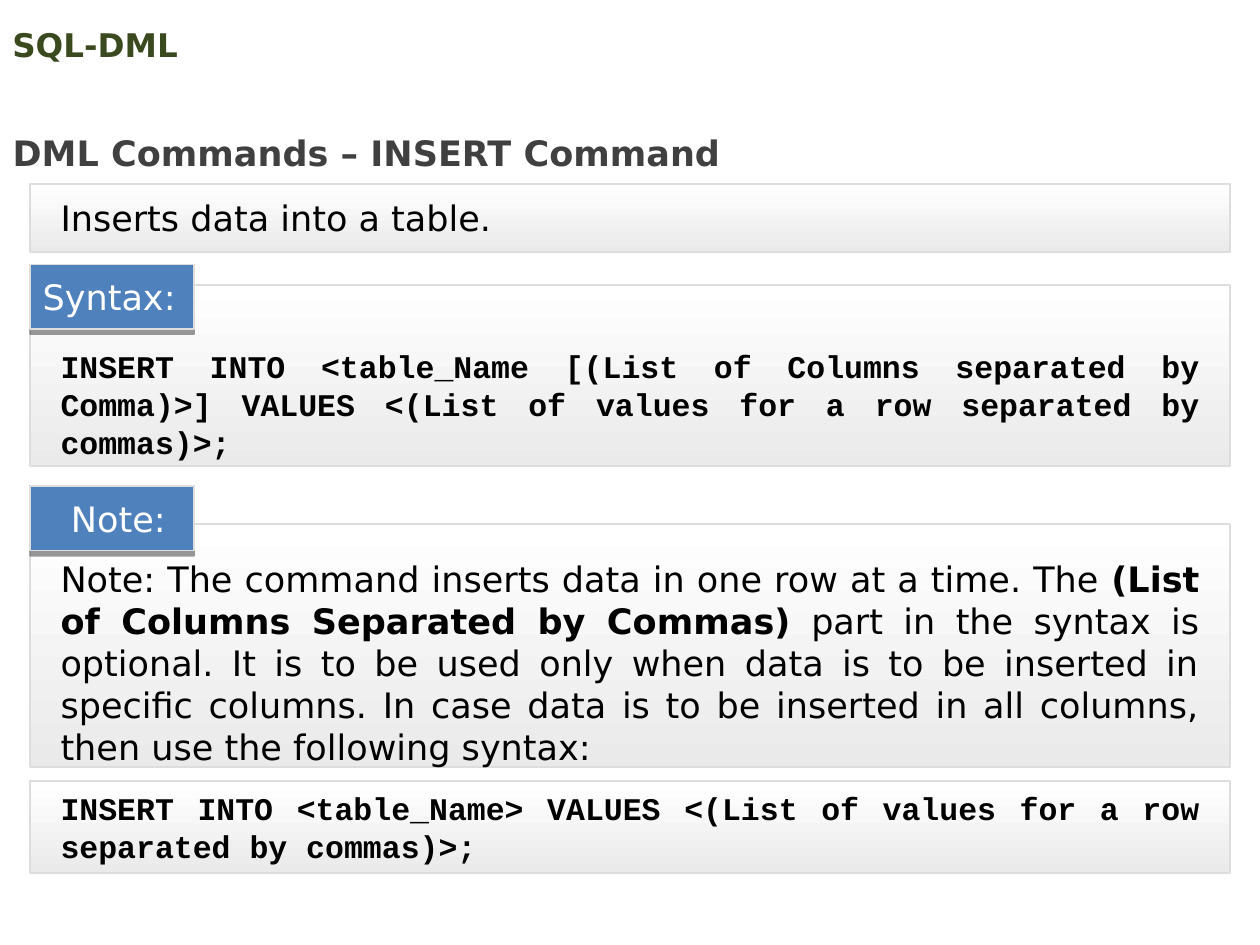
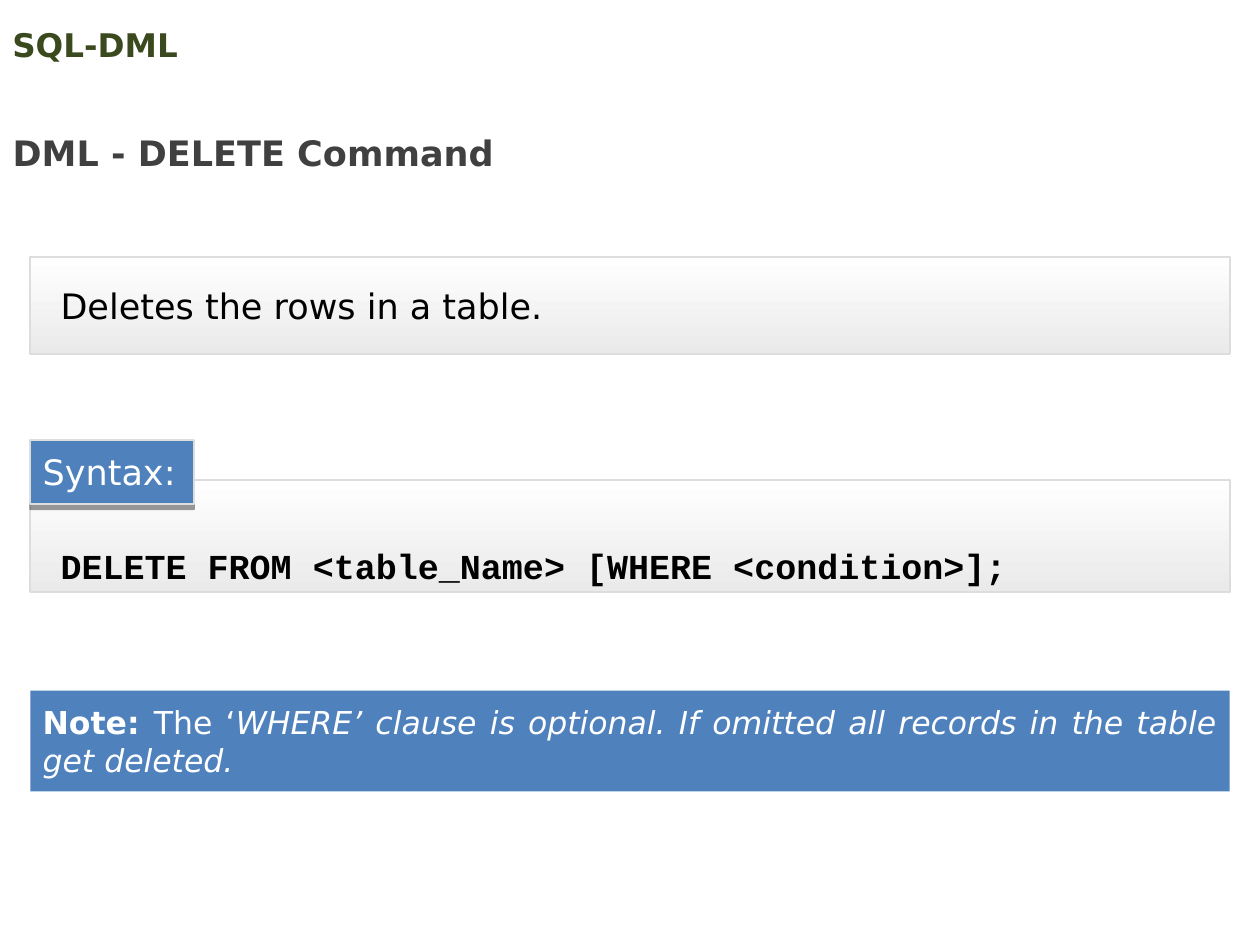
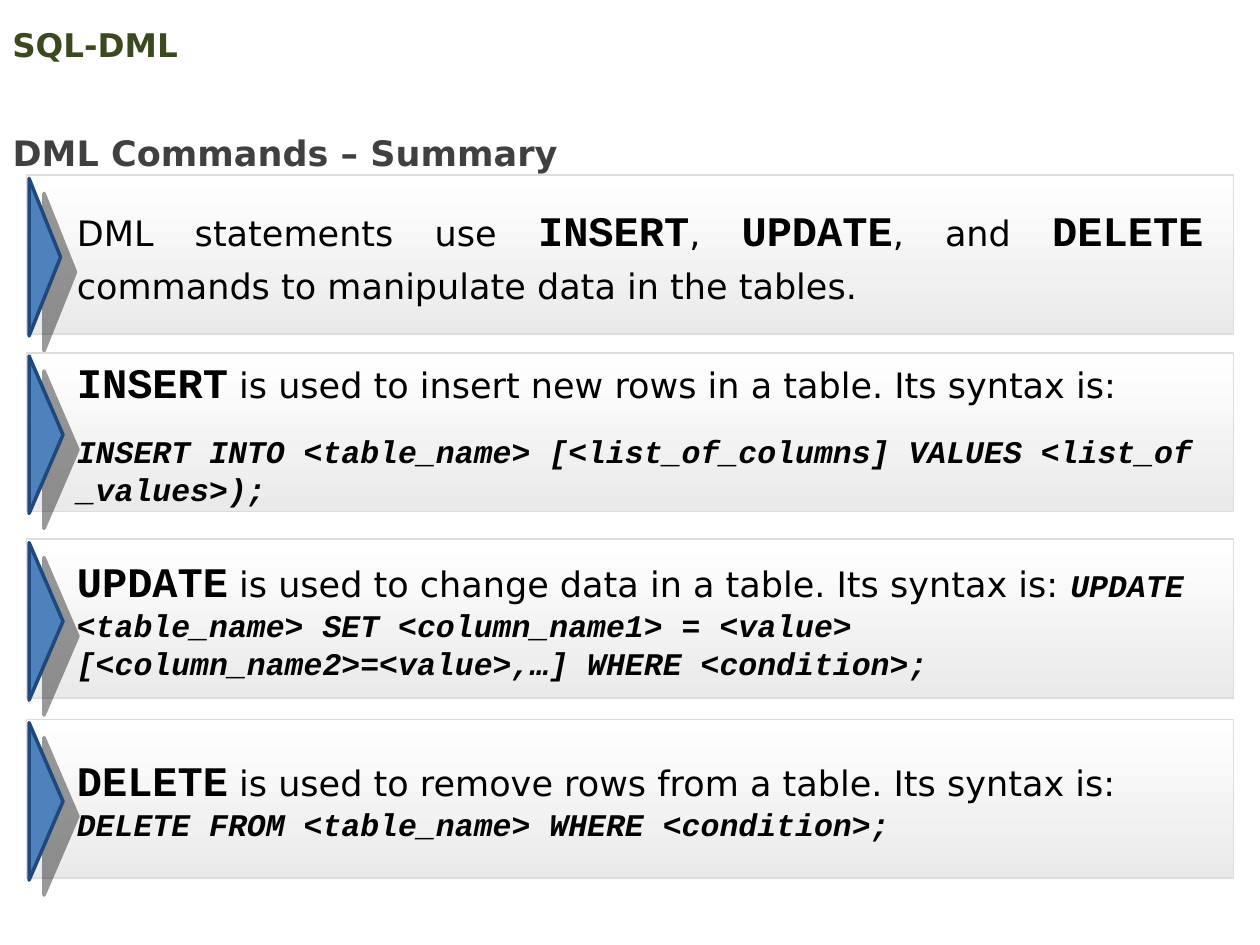
from dataclasses import dataclass, field
from typing import Any, NamedTuple, Optional

from lxml.etree import SubElement
from pptx import Presentation
from pptx.dml.color import RGBColor
from pptx.enum.shapes import MSO_AUTO_SHAPE_TYPE as Geo
from pptx.enum.text import MSO_ANCHOR as Anchor, MSO_AUTO_SIZE as Fit, PP_ALIGN as Align
from pptx.oxml.ns import qn
from pptx.util import Pt


# Theme: colours, fonts and type sizes
@dataclass(frozen=True)
class Theme:
    sans: str = "DejaVu Sans"
    mono: str = "Courier New"
    section: str = "3B4A1E"
    heading: str = "404040"
    ink: str = "000000"
    white: str = "FFFFFF"
    accent: str = "4F81BD"
    accent_edge: str = "1F497D"
    panel_end: str = "EAEAEA"
    panel_edge: str = "DDDDDD"
    section_size: float = 18.6
    text_size: float = 20
    small_size: float = 18
    keyword_size: float = 24


T = Theme()


def style(name: str, size: float, color: str = T.ink, bold: bool = False,
          italic: bool = False) -> dict[str, Any]:
    return {"name": name, "size": Pt(size), "color": color, "bold": bold, "italic": italic}


SECTION = style(T.sans, T.section_size, T.section, bold=True)
HEADING = style(T.sans, T.text_size, T.heading, bold=True)
TEXT = style(T.sans, T.text_size)
STRONG = style(T.sans, T.text_size, bold=True)
LABEL = style(T.sans, T.text_size, T.white)
CODE = style(T.mono, T.small_size, bold=True)
BIG_CODE = style(T.mono, T.text_size, bold=True)
KEYWORD = style(T.mono, T.keyword_size, bold=True)
SYNTAX = style(T.mono, T.small_size, bold=True, italic=True)
BAR_STRONG = style(T.sans, T.small_size, T.white, bold=True)
BAR = style(T.sans, T.small_size, T.white)
BAR_ITALIC = style(T.sans, T.small_size, T.white, italic=True)

PANEL_PARA = {"alignment": Align.JUSTIFY, "space_before": Pt(6), "space_after": Pt(6)}
INTRO_PARA = {"alignment": Align.JUSTIFY, "line_spacing": Pt(30), "space_after": Pt(5)}
ROW_PARA = {"alignment": Align.LEFT, "space_after": Pt(14.1)}


class Run(NamedTuple):
    text: str
    fmt: dict[str, Any]


class Box(NamedTuple):
    left: float
    top: float
    width: float
    height: float


class Insets(NamedTuple):
    left: float
    top: float
    right: float
    bottom: float


class Shadow(NamedTuple):
    distance: float
    angle: int


PANEL_LEFT, PANEL_WIDTH = 17.3, 685.4
TEXT_INSETS = Insets(7.2, 3.6, 7.2, 3.6)
PANEL_INSETS = Insets(17.3, 0, 17.3, 0)
ROW_INSETS = Insets(28.8, 0, 17.3, 0)
LABEL_SHADOW = Shadow(3, 90)
ARROW_SHADOW = Shadow(12.1, 45)


@dataclass
class Label:
    text: str
    top: float
    align: Align = Align.LEFT


@dataclass
class Panel:
    top: float
    height: float
    runs: list[Run]
    label: Optional[Label] = None
    anchor: Anchor = Anchor.MIDDLE
    insets: Insets = PANEL_INSETS
    para: dict[str, Any] = field(default_factory=lambda: PANEL_PARA)


@dataclass
class Row:
    top: float
    paragraphs: list[list[Run]]
    para: dict[str, Any] = field(default_factory=lambda: ROW_PARA)
    arrow_width: float = 19.4


# Formatting helpers
def set_attrs(obj: Any, values: dict[str, Any]) -> None:
    for key, value in values.items():
        setattr(obj, key, value)


def write(sp: Any, paragraphs: list[list[Run]], para: dict[str, Any], insets: Insets,
          anchor: Anchor = Anchor.MIDDLE, fit: Fit = Fit.NONE) -> None:
    tf = sp.text_frame
    set_attrs(tf, {"word_wrap": True, "auto_size": fit, "vertical_anchor": anchor})
    set_attrs(tf, {f"margin_{side}": Pt(v) for side, v in insets._asdict().items()})
    for i, runs in enumerate(paragraphs):
        p = tf.add_paragraph() if i else tf.paragraphs[0]
        set_attrs(p, para)
        for run in runs:
            r = p.add_run()
            r.text = run.text
            set_attrs(r.font, {k: v for k, v in run.fmt.items() if k != "color"})
            r.font.color.rgb = RGBColor.from_string(run.fmt["color"])


def add_shape(shapes: Any, kind: Geo, box: Box, fill: Optional[str] = None,
              edge: Optional[str] = T.panel_edge, edge_width: float = 1,
              shadow: Optional[Shadow] = None) -> Any:
    """Add a shape; without a fill colour it gets the panel gradient."""
    sp = shapes.add_shape(kind, *map(Pt, box))
    sp.shadow.inherit = False
    if fill:
        sp.fill.solid()
        sp.fill.fore_color.rgb = RGBColor.from_string(fill)
    else:
        sp.fill.gradient()
        sp.fill.gradient_angle = 270
        for stop, color in zip(sp.fill.gradient_stops, (T.white, T.panel_end)):
            stop.color.rgb = RGBColor.from_string(color)
    if edge:
        sp.line.color.rgb = RGBColor.from_string(edge)
        sp.line.width = Pt(edge_width)
    else:
        sp.line.fill.background()
    if shadow:
        effects = sp._element.spPr.find(qn("a:effectLst"))
        outer = SubElement(effects, qn("a:outerShdw"), blurRad="0",
                           dist=str(Pt(shadow.distance)), dir=str(shadow.angle * 60000),
                           algn="ctr", rotWithShape="0")
        color = SubElement(outer, qn("a:srgbClr"), val=T.ink)
        SubElement(color, qn("a:alpha"), val="40000")
    return sp


# Slide parts
def add_slide(prs: Any, heading: str, width: float = 596) -> Any:
    s = prs.slides.add_slide(prs.slide_layouts[5])
    title = s.shapes.title
    set_attrs(title, dict(zip(Box._fields, map(Pt, Box(0, 59.8, width, 43.2)))))
    write(title, [[Run(heading, HEADING)]], {"alignment": Align.LEFT, "line_spacing": 1.5},
          TEXT_INSETS, Anchor.TOP, Fit.SHAPE_TO_FIT_TEXT)
    section = s.shapes.add_textbox(*map(Pt, Box(0, 10.1, 648, 31)))
    write(section, [[Run("SQL-DML", SECTION)]], {}, TEXT_INSETS)
    return s


def add_panel(s: Any, panel: Panel) -> None:
    label = panel.label
    shapes = s.shapes.add_group_shape().shapes if label else s.shapes
    sp = add_shape(shapes, Geo.RECTANGLE, Box(PANEL_LEFT, panel.top, PANEL_WIDTH, panel.height))
    write(sp, [panel.runs], panel.para, panel.insets, panel.anchor)
    if label:
        tag = add_shape(shapes, Geo.RECTANGLE, Box(PANEL_LEFT, label.top, 93.6, 36.7),
                        T.accent, shadow=LABEL_SHADOW)
        write(tag, [[Run(label.text, LABEL)]], {"alignment": label.align}, Insets(7.2, 0, 0, 0))


def add_row(s: Any, row: Row) -> None:
    shapes = s.shapes.add_group_shape().shapes
    box = Box(15.1, row.top, 689.8, 90.7)
    sp = add_shape(shapes, Geo.RECTANGLE, box)
    write(sp, row.paragraphs, row.para, ROW_INSETS)
    # The triangle is turned about its centre to point right
    length, left = 90, 16.6
    center_x, center_y = left + row.arrow_width / 2, row.top + box.height / 2 + 1.5
    arrow = add_shape(shapes, Geo.ISOSCELES_TRIANGLE,
                      Box(center_x - length / 2, center_y - row.arrow_width / 2,
                          length, row.arrow_width),
                      T.accent, T.accent_edge, 2, ARROW_SHADOW)
    arrow.rotation = 90


# Content
SYNTAX_INSETS = PANEL_INSETS._replace(bottom=3)

INSERT_PANELS = [
    Panel(105.1, 38.9, [Run("Inserts data into a table.", TEXT)]),
    Panel(162.7, 103.7, [Run("INSERT INTO <table_Name [(List of Columns separated by Comma)>] "
                             "VALUES <(List of values for a row separated by commas)>;", CODE)],
          Label("Syntax:", 151.2), Anchor.BOTTOM, SYNTAX_INSETS),
    Panel(446.4, 52.6, [Run("INSERT INTO <table_Name> VALUES <(List of values for a row "
                            "separated by commas)>;", CODE)]),
    Panel(299.5, 139, [
        Run("Note: The command inserts data in one row at a time. The ", TEXT),
        Run("(List of Columns Separated by Commas)", STRONG),
        Run(" part in the syntax is optional. It is to be used only when data is to be "
            "inserted in specific columns. In case data is to be inserted in all columns, "
            "then use the following syntax:", TEXT)],
          Label("Note:", 277.9, Align.CENTER), Anchor.BOTTOM),
]

DELETE_PANELS = [
    Panel(146.9, 55.4, [Run("Deletes the rows in a table.", TEXT)]),
    Panel(274.3, 64.1, [Run("DELETE FROM <table_Name> [WHERE <condition>];", BIG_CODE)],
          Label("Syntax:", 251.3), Anchor.BOTTOM, SYNTAX_INSETS,
          {**PANEL_PARA, "alignment": Align.LEFT}),
]

DELETE_NOTE = [
    Run("Note: ", BAR_STRONG),
    Run("The ‘", BAR),
    Run("WHERE’ clause is optional. If omitted all records in the table get deleted.",
        BAR_ITALIC),
]

SUMMARY_ROWS = [
    Row(100.1, [[
        Run("DML statements use ", TEXT), Run("INSERT", KEYWORD), Run(", ", TEXT),
        Run("UPDATE", KEYWORD), Run(", and ", TEXT), Run("DELETE", KEYWORD),
        Run(" commands to manipulate data in the tables.", TEXT)]], INTRO_PARA, 18),
    Row(201.6, [
        [Run("INSERT", KEYWORD),
         Run(" is used to insert new rows in a table. Its syntax is:", TEXT)],
        [Run("INSERT INTO <table_name> [<list_of_columns] VALUES <list_of _values>);",
             SYNTAX)]]),
    Row(308.2, [[
        Run("UPDATE", KEYWORD),
        Run(" is used to change data in a table. Its syntax is: ", TEXT),
        Run("UPDATE <table_name> SET <column_name1> = <value> "
            "[<column_name2>=<value>,…] WHERE <condition>;", SYNTAX)]]),
    Row(411.1, [[
        Run("DELETE", KEYWORD),
        Run(" is used to remove rows from a table. Its syntax is: ", TEXT),
        Run("DELETE FROM <table_name> WHERE <condition>;", SYNTAX)]]),
]


def main() -> None:
    prs = Presentation()
    set_attrs(prs, {"slide_width": Pt(720), "slide_height": Pt(540)})

    # INSERT command
    s = add_slide(prs, "DML Commands – INSERT Command")
    for panel in INSERT_PANELS:
        add_panel(s, panel)

    # DELETE command, with a solid note bar
    s = add_slide(prs, "DML - DELETE Command")
    for panel in DELETE_PANELS:
        add_panel(s, panel)
    bar = add_shape(s.shapes, Geo.RECTANGLE, Box(PANEL_LEFT, 394.6, PANEL_WIDTH, 57.6),
                    T.accent, edge=None)
    write(bar, [DELETE_NOTE], {"alignment": Align.JUSTIFY}, TEXT_INSETS)

    # Summary rows
    s = add_slide(prs, "DML Commands – Summary", 510.5)
    for row in SUMMARY_ROWS:
        add_row(s, row)

    prs.save("out.pptx")


if __name__ == "__main__":
    main()
